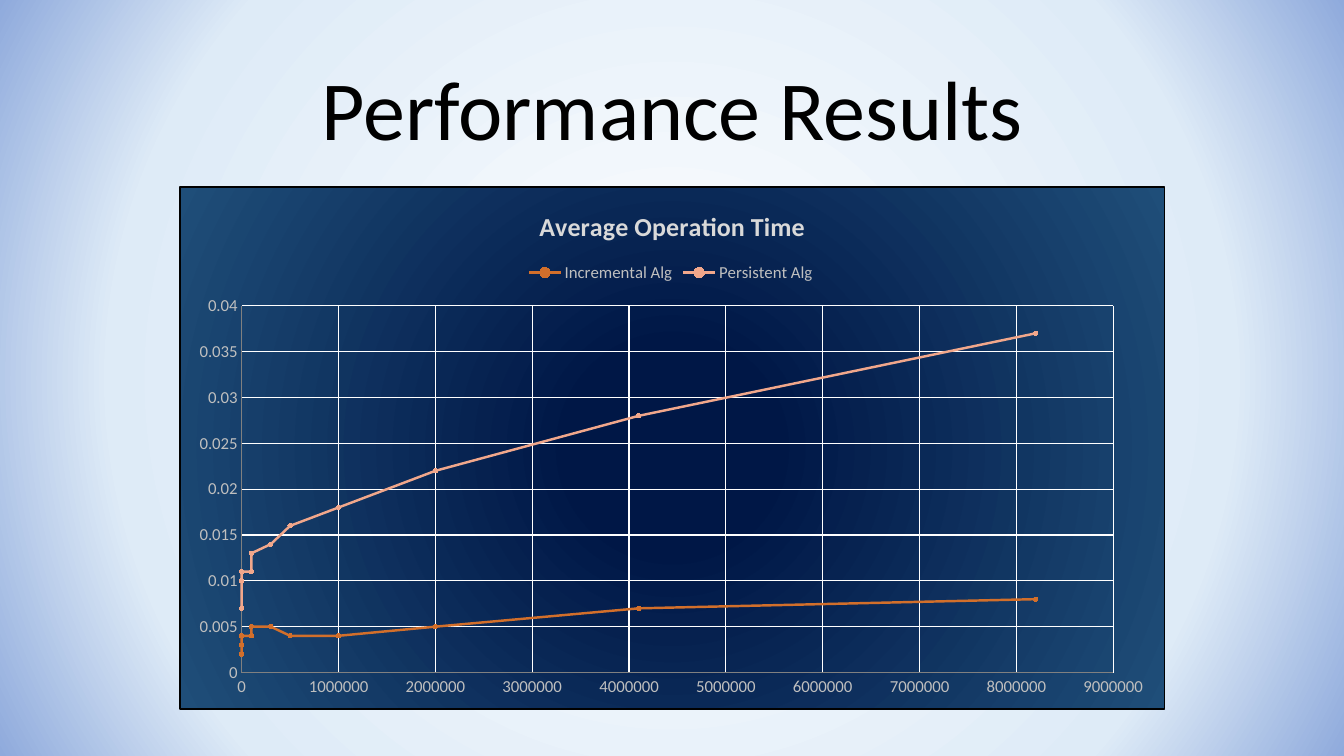
from dataclasses import dataclass

import lxml.etree
import pptx
import pptx.chart.data
import pptx.dml.color
import pptx.enum.chart
import pptx.enum.text
import pptx.oxml
import pptx.oxml.ns
import pptx.util

Inches = pptx.util.Inches
Pt = pptx.util.Pt
qn = pptx.oxml.ns.qn


@dataclass(frozen=True)
class Theme:
    font: str = "Calibri"
    ink: str = "000000"
    head: str = "D9D9D9"
    label: str = "BFBFBF"
    axis: str = "808080"
    grid: str = "FFFFFF"
    page: tuple = ((0, "FFFFFF"), (73, "DEEBF7"), (100, "8FAADC"))
    panel: tuple = ((18, "001746"), (100, "1F4E79"))
    lines: tuple = ("D26F2B", "F1A78B")
    title_size: int = 60
    head_size: float = 18.6
    label_size: int = 12


SIZES = [round(2000 * 2 ** step, -5) for step in range(13)]
TIMES = {
    "Incremental Alg": [0.002, 0.004, 0.003, 0.003, 0.004, 0.004, 0.005,
                        0.005, 0.004, 0.004, 0.005, 0.007, 0.008],
    "Persistent Alg": [0.007, 0.007, 0.01, 0.01, 0.011, 0.011, 0.013,
                       0.014, 0.016, 0.018, 0.022, 0.028, 0.037],
}


def color(code):
    return pptx.dml.color.RGBColor.from_string(code)


def style(font, face, size, code, bold=False):
    font.name, font.size, font.bold = face, Pt(size), bold
    font.color.rgb = color(code)


def write(frame, text, align=pptx.enum.text.PP_ALIGN.CENTER, space=None, **form):
    """Put one paragraph in a text frame; form goes on to style()."""
    para = frame.paragraphs[0]
    para.alignment, para.line_spacing = align, space
    run = para.add_run()
    run.text = text
    style(run.font, **form)


def stroke(line, code, width):
    line.color.rgb = color(code)
    line.width = Pt(width)


def radial(stops):
    """Return a gradient fill that spreads from the centre."""
    marks = "".join(
        f'<a:gs pos="{place * 1000}"><a:srgbClr val="{code}"/></a:gs>'
        for place, code in stops)
    return pptx.oxml.parse_xml(
        f'<a:gradFill {pptx.oxml.ns.nsdecls("a")} rotWithShape="1">'
        f'<a:gsLst>{marks}</a:gsLst><a:path path="circle">'
        '<a:fillToRect l="50000" t="50000" r="50000" b="50000"/>'
        '</a:path></a:gradFill>')


def place(part, width, height, **spots):
    """Fix a part in a chart of this size; spots are x, y, w, h in inches."""
    for old in part.findall(qn("c:layout")):
        part.remove(old)
    layout = lxml.etree.Element(qn("c:layout"))
    manual = lxml.etree.SubElement(layout, qn("c:manualLayout"))
    if "w" in spots:
        lxml.etree.SubElement(manual, qn("c:layoutTarget"), val="inner")
    for key in ("x", "y"):
        lxml.etree.SubElement(manual, qn(f"c:{key}Mode"), val="edge")
    for key, value in spots.items():
        whole = width if key in "xw" else height
        lxml.etree.SubElement(manual, qn(f"c:{key}"), val=str(value / whole))
    over = part.find(qn("c:overlay"))
    if over is None:
        part.insert(0, layout)
    else:
        over.addprevious(layout)


class Deck:
    def __init__(self, theme):
        self.theme = theme
        self.show = pptx.Presentation()
        self.show.slide_width = Inches(13.33)
        self.show.slide_height = Inches(7.5)
        self.slide = self.show.slides.add_slide(self.show.slide_layouts[6])

    def label(self, font):
        style(font, self.theme.font, self.theme.label_size, self.theme.label)

    def backdrop(self):
        self.slide.background.fill.solid()
        solid = next(self.slide.element.iter(qn("a:solidFill")))
        solid.getparent().replace(solid, radial(self.theme.page))

    def title(self, text, left, top, width, height):
        box = self.slide.shapes.add_textbox(
            Inches(left), Inches(top), Inches(width), Inches(height))
        frame = box.text_frame
        frame.word_wrap = True
        frame.vertical_anchor = pptx.enum.text.MSO_ANCHOR.MIDDLE
        write(frame, text, space=0.9, face=self.theme.font,
              size=self.theme.title_size, code=self.theme.ink)

    def chart(self, text, left, top, width, height):
        data = pptx.chart.data.XyChartData()
        for name, times in TIMES.items():
            series = data.add_series(name)
            for size, time in zip(SIZES, times):
                series.add_data_point(size, time)
        chart = self.slide.shapes.add_chart(
            pptx.enum.chart.XL_CHART_TYPE.XY_SCATTER_LINES,
            Inches(left), Inches(top), Inches(width), Inches(height), data).chart
        self.label(chart.font)
        plot = chart.plots[0]
        plot.vary_by_categories = False
        for series, code in zip(plot.series, self.theme.lines):
            self.curve(series, code)
        self.axis(chart.category_axis, 9000000, 1000000)
        self.axis(chart.value_axis, 0.04, 0.005)

        chart.has_title = True
        write(chart.chart_title.text_frame, text, face=self.theme.font,
              size=self.theme.head_size, code=self.theme.head, bold=True)
        chart.has_legend = True
        legend = chart.legend
        legend.position = pptx.enum.chart.XL_LEGEND_POSITION.TOP
        legend.include_in_layout = False
        self.label(legend.font)

        root = chart.element.find(qn("c:chart"))
        place(root.find(qn("c:title")), width, height, x=3.52, y=0.16)
        place(root.find(qn("c:legend")), width, height, x=3.41, y=0.71)
        place(root.find(qn("c:plotArea")), width, height,
              x=0.61, y=1.18, w=8.66, h=3.65)
        self.panel(root)

    def curve(self, series, code):
        stroke(series.format.line, code, 1.75)
        mark = series.marker
        mark.style = pptx.enum.chart.XL_MARKER_STYLE.CIRCLE
        mark.size = 3
        mark.format.fill.solid()
        mark.format.fill.fore_color.rgb = color(code)
        stroke(mark.format.line, code, 0.75)

    def axis(self, axis, top, step):
        axis.minimum_scale, axis.maximum_scale, axis.major_unit = 0, top, step
        axis.major_tick_mark = pptx.enum.chart.XL_TICK_MARK.NONE
        axis.minor_tick_mark = pptx.enum.chart.XL_TICK_MARK.NONE
        axis.has_major_gridlines = True
        stroke(axis.major_gridlines.format.line, self.theme.grid, 0.75)
        stroke(axis.format.line, self.theme.axis, 0.75)
        labels = axis.tick_labels
        labels.number_format, labels.number_format_is_linked = "General", False
        self.label(labels.font)

    def panel(self, root):
        """Fill and frame the whole chart area."""
        props = lxml.etree.Element(qn("c:spPr"))
        props.append(radial(self.theme.panel))
        edge = lxml.etree.SubElement(props, qn("a:ln"), w=str(Pt(1.25)))
        fill = lxml.etree.SubElement(edge, qn("a:solidFill"))
        lxml.etree.SubElement(fill, qn("a:srgbClr"), val=self.theme.ink)
        root.addnext(props)


def main():
    deck = Deck(Theme())
    deck.backdrop()
    deck.title("Performance Results", 0.92, 0.4, 11.5, 1.45)
    deck.chart("Average Operation Time", 1.78, 1.85, 9.78, 5.19)
    deck.show.save("out.pptx")


if __name__ == "__main__":
    main()
